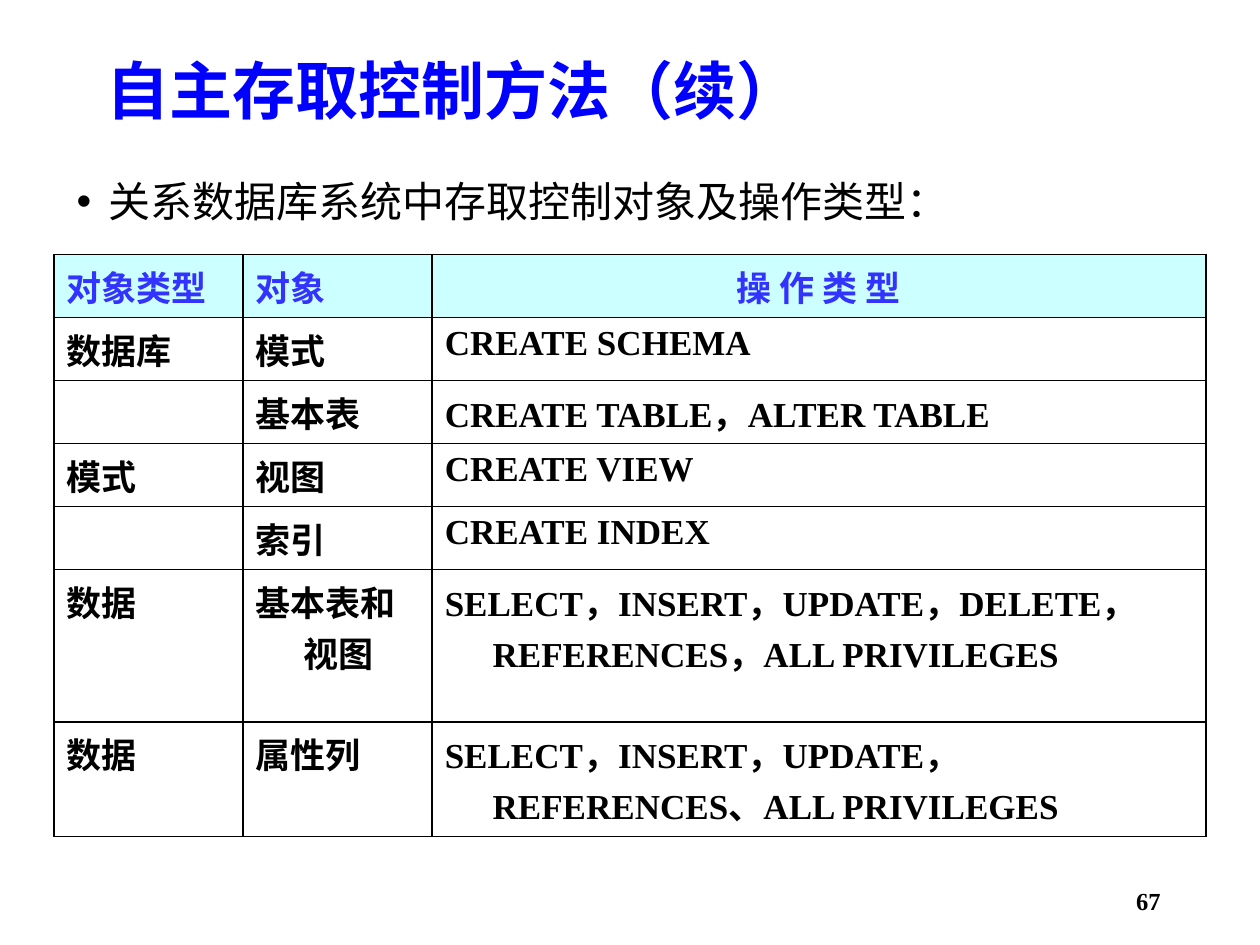
from pptx import Presentation
from pptx.dml.color import RGBColor
from pptx.enum.text import MSO_ANCHOR, PP_ALIGN
from pptx.oxml import parse_xml
from pptx.oxml.ns import nsdecls
from pptx.util import Inches, Pt

SANS = "Noto Sans CJK SC"
SERIF = "Times New Roman"
COLS = [1.5, 1.5, 6.14]
HEIGHTS = [0.5] * 5 + [1.21, 0.91]
ROWS = [
    ["对象类型", "对象", "操 作 类 型"],
    ["数据库", "模式", "CREATE SCHEMA"],
    ["", "基本表", "CREATE TABLE，ALTER TABLE"],
    ["模式", "视图", "CREATE VIEW"],
    ["", "索引", "CREATE INDEX"],
    ["数据", "基本表和视图",
     "SELECT，INSERT，UPDATE，DELETE，REFERENCES，ALL PRIVILEGES"],
    ["数据", "属性列", "SELECT，INSERT，UPDATE， REFERENCES、ALL PRIVILEGES"],
]


def color(code):
    return RGBColor.from_string(code)


def style(para, size, face, code, bold=False):
    for run in para.runs:
        font = run.font
        font.size, font.name, font.bold = Pt(size), face, bold
        font.color.rgb = color(code)
        # East Asian glyphs take their own typeface
        run._r.get_or_add_rPr().find("{*}latin").addnext(
            parse_xml(f'<a:ea {nsdecls("a")} typeface="{SANS}"/>'))


def indent(para, inches):
    props = para._p.get_or_add_pPr()
    props.set("marL", str(Inches(inches)))
    props.set("indent", str(-Inches(inches)))
    return props


def add_text(slide, box, text, anchor=MSO_ANCHOR.MIDDLE):
    frame = slide.shapes.add_textbox(*map(Inches, box)).text_frame
    frame.word_wrap = True
    frame.vertical_anchor = anchor
    frame.text = text
    return frame.paragraphs[0]


def add_title(slide, box):
    para = add_text(slide, box, "自主存取控制方法（续）")
    para.line_spacing = 0.9
    style(para, 36, SANS, "0000FF", True)


def add_bullet(slide, box):
    para = add_text(slide, box, "关系数据库系统中存取控制对象及操作类型：", MSO_ANCHOR.TOP)
    para.line_spacing = 0.9
    para.space_before = Pt(10)
    props = indent(para, 0.25)
    props.append(parse_xml(f'<a:buFont {nsdecls("a")} typeface="Arial"/>'))
    props.append(parse_xml(f'<a:buChar {nsdecls("a")} char="•"/>'))
    style(para, 24, SANS, "000000")


def add_borders(cell):
    props = cell._tc.get_or_add_tcPr()
    for place, side in enumerate(("lnL", "lnR", "lnT", "lnB")):
        props.insert(place, parse_xml(
            f'<a:{side} {nsdecls("a")} w="{Pt(1)}"><a:solidFill>'
            f'<a:srgbClr val="000000"/></a:solidFill></a:{side}>'))


def add_grid(slide, box):
    table = slide.shapes.add_table(
        len(ROWS), len(COLS), *map(Inches, box)).table
    table.first_row = table.horz_banding = False
    for col, width in zip(table.columns, COLS):
        col.width = Inches(width)
    for row, height, texts in zip(table.rows, HEIGHTS, ROWS):
        row.height = Inches(height)
        head = texts is ROWS[0]
        for cell, text in zip(row.cells, texts):
            cell.text = text
            para = cell.text_frame.paragraphs[0]
            indent(para, 0.38)
            style(para, 20, SERIF, "3333FF" if head else "000000", True)
            if head:
                cell.fill.solid()
                cell.fill.fore_color.rgb = color("CCFFFF")
            else:
                cell.fill.background()
            add_borders(cell)
    table.cell(0, 2).text_frame.paragraphs[0].alignment = PP_ALIGN.CENTER


def add_number(slide, box):
    para = add_text(slide, box, "67")
    para.alignment = PP_ALIGN.RIGHT
    style(para, 14, SERIF, "000000", True)


def main():
    deck = Presentation()
    deck.slide_width, deck.slide_height = Inches(10), Inches(7.5)
    slide = deck.slides.add_slide(deck.slide_layouts[6])
    add_number(slide, (7.06, 6.95, 2.25, 0.4))
    add_title(slide, (0.75, 0.44, 8.08, 0.62))
    add_bullet(slide, (0.51, 1.39, 8.99, 2.14))
    add_grid(slide, (0.43, 2.02, sum(COLS), sum(HEIGHTS)))
    deck.save("out.pptx")


if __name__ == "__main__":
    main()
